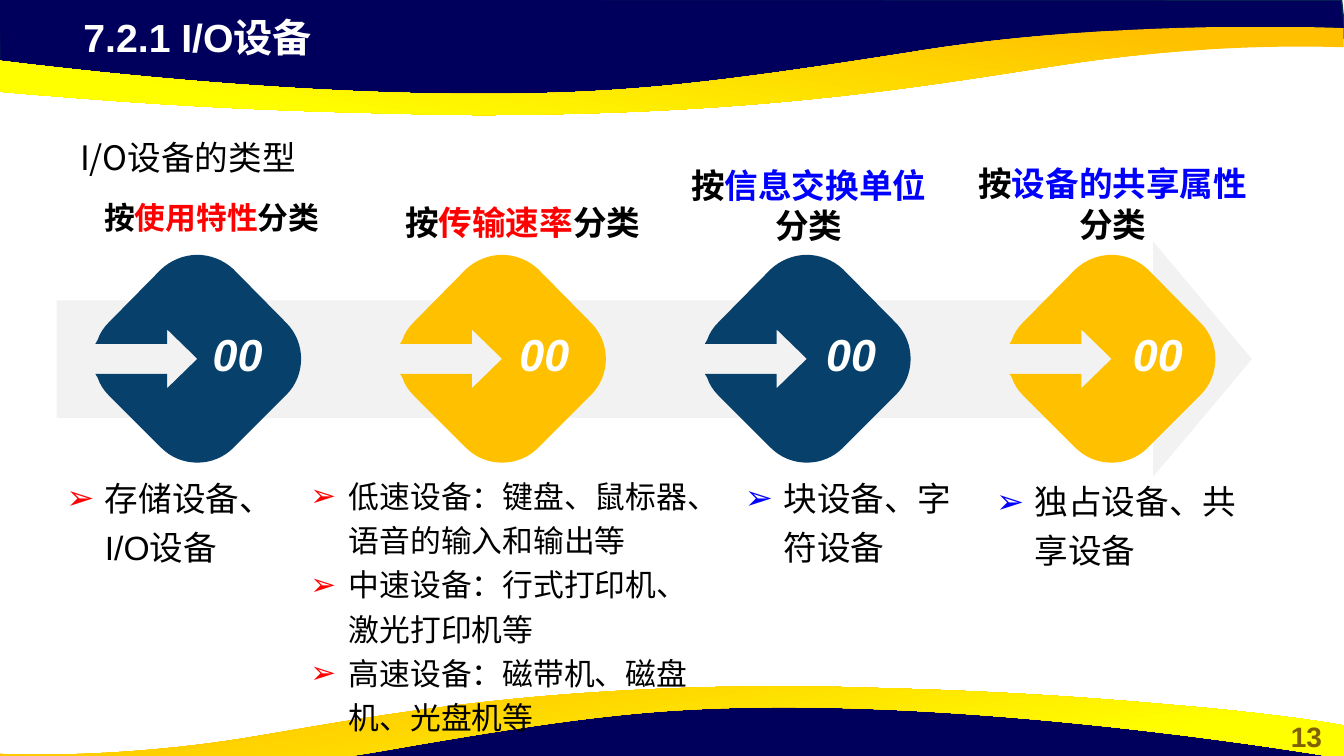
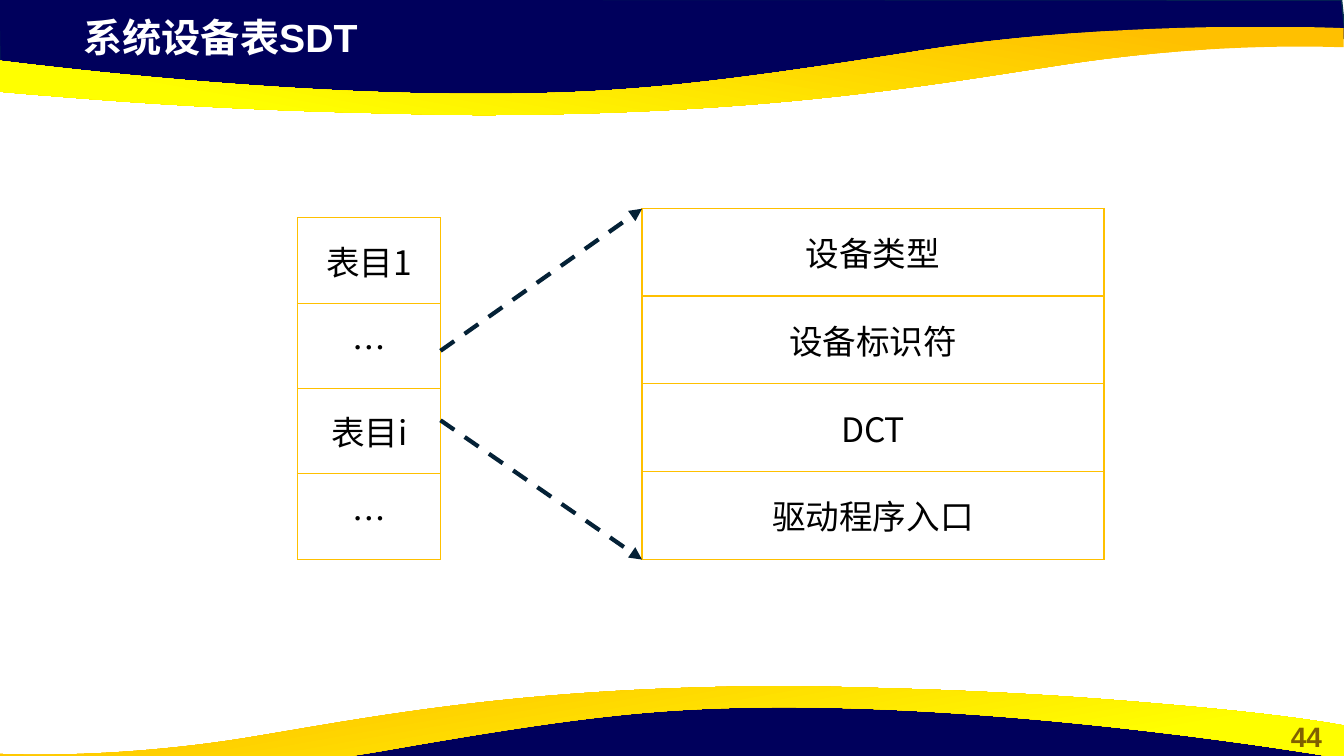
from math import sqrt

from pptx import Presentation
from pptx import util as u
from pptx.dml.color import RGBColor
from pptx.enum import dml, shapes, text
from pptx.oxml import parse_xml
from pptx.oxml.ns import nsdecls, qn

NAVY, EDGE, GOLD, YELLOW = "00005C", "05304F", "FFC000", "FFFF00"
BLUE, RED, LINK, BLACK, WHITE = "07416B", "FF0000", "0000FF", "000000", "FFFFFF"
BROWN, PALE, DARK = "806000", "F2F2F2", "042136"
LATIN, HAN = "Arial", "Noto Sans CJK SC"

HILL = [(-0.03, -0.03), (0, 1.78), (7.44, 2.59), (14.2, 2.54), (20.19, 2.24),
        (25.81, 1.27), (31.45, 0.84), (33.91, 0.97), (33.81, 0)]
WAVE = [(12.27, 2.9), (11.25, 2.9, 10.19, 2.87, 9.04, 2.84),
        (5.23, 2.74, 2.79, 2.54, 0.91, 2.39),
        (-2.24, 2.13, -3.3, 1.91, -3.38, 1.91), (-3.38, 1.07),
        (-3.38, 1.07, 5.54, 2.49, 13.13, 2.36),
        (15.9, 2.31, 17.98, 2.11, 23.24, 1.27),
        (28.35, 0.46, 33.86, 0.71, 33.86, 0.71), (33.86, 1.19), (33.78, 1.19),
        (33.15, 1.17, 30.35, 1.09, 26.8, 1.63),
        (23.32, 2.16, 19.35, 2.87, 12.27, 2.9)]
GEM = [(0, -2.62), (0.33, -2.62, 0.66, -2.49, 0.91, -2.26), (2.24, -0.91),
       (2.74, -0.41, 2.74, 0.41, 2.24, 0.91), (0.91, 2.24),
       (0.41, 2.74, -0.41, 2.74, -0.91, 2.24), (-2.24, 0.91),
       (-2.36, 0.79, -2.46, 0.64, -2.51, 0.48), (-2.57, 0.38), (-0.76, 0.38),
       (-0.76, 0.74), (0, 0), (-0.76, -0.74), (-0.76, -0.38), (-2.57, -0.38),
       (-2.51, -0.48), (-2.46, -0.64, -2.36, -0.79, -2.24, -0.91),
       (-0.91, -2.26), (-0.66, -2.49, -0.33, -2.62, 0, -2.62)]


def ink(code):
    return RGBColor.from_string(code)


def xml(tag, attrs="", inner=""):
    return parse_xml(f'<a:{tag} {nsdecls("a")} {attrs}>{inner}</a:{tag}>')


def pairs(step):
    return list(zip(step[::2], step[1::2]))


def remap(steps, rule):
    return [sum((rule(x, y) for x, y in pairs(step)), ()) for step in steps]


def write(frame, *paras, size=24, color=BLACK, font=LATIN, bold=False,
          italic=False, align="LEFT", anchor="TOP", gap=1.0, after=0,
          left=0, first=0, bullet=None):
    frame.word_wrap = True
    frame.auto_size = text.MSO_AUTO_SIZE.NONE
    frame.vertical_anchor = getattr(text.MSO_ANCHOR, anchor)
    for n, runs in enumerate(paras):
        para = frame.add_paragraph() if n else frame.paragraphs[0]
        props = para._p.get_or_add_pPr()
        props.set("marL", str(int(u.Cm(left))))
        props.set("indent", str(int(u.Cm(first))))
        if bullet:
            props.append(xml("buClr", "", f'<a:srgbClr val="{bullet}"/>'))
            props.append(xml("buFont", f'typeface="{LATIN}"'))
            props.append(xml("buChar", 'char="➢"'))
        para.alignment = getattr(text.PP_ALIGN, align)
        para.line_spacing = gap
        para.space_before, para.space_after = u.Pt(0), u.Pt(after)
        for words, tint in [(runs, color)] if isinstance(runs, str) else runs:
            run = para.add_run()
            run.text = words
            run.font.size, run.font.name = u.Pt(size), font
            run.font.bold, run.font.italic = bold, italic
            run.font.color.rgb = ink(tint)
            run._r.get_or_add_rPr().append(xml("ea", f'typeface="{HAN}"'))


class Deck:
    def __init__(self):
        self.show = Presentation()
        self.show.slide_width, self.show.slide_height = u.Cm(33.87), u.Cm(19.05)
        self.slide = None

    def start(self, layout, title, number):
        fresh = self.slide is None
        self.slide = self.show.slides.add_slide(self.show.slide_layouts[layout])
        if fresh:
            self.bands()
        self.place(self.slide.shapes.title, (1.85, 0.21, 19.51, 1.45), title,
                   size=28, color=WHITE, bold=True, anchor="MIDDLE")
        self.label((32, 18.01, 1.85, 1.12), number, size=20, color=BROWN,
                   bold=True, align="CENTER")

    def bands(self):
        master = self.show.slide_master.shapes.element
        swell = remap(WAVE, lambda x, y: ((33.84 - x) * 0.91, 20.19 - y))
        low = self.hill()
        low.rotation, low.left, low.top = 180, u.Cm(-0.08), u.Cm(17.55)
        parts = [self.hill(), self.wave(WAVE, 260), low, self.wave(swell, 280)]
        for n, band in enumerate(parts):
            band.element.nvSpPr.cNvPr.set("id", str(20 + n))
            master.append(band.element)

    def hill(self):
        band = self.outline(HILL, NAVY)
        band.line.color.rgb, band.line.width = ink(EDGE), u.Pt(1)
        return band

    def wave(self, steps, angle):
        band = self.outline(steps, GOLD)
        band.fill.gradient()
        band.fill.gradient_angle = angle
        marks = [(0.11, GOLD), (0.78, YELLOW)]
        for stop, (where, tint) in zip(band.fill.gradient_stops, marks):
            stop.position, stop.color.rgb = where, ink(tint)
        return band

    def paint(self, shape, fill):
        shape.shadow.inherit = False
        shape.fill.solid()
        shape.fill.fore_color.rgb = ink(fill)
        shape.line.fill.background()
        return shape

    def outline(self, steps, fill):
        spots = [(u.Cm(step[-2]), u.Cm(step[-1])) for step in steps]
        pen = self.slide.shapes.build_freeform(*spots[0])
        pen.add_line_segments(spots[1:], close=True)
        shape = pen.convert_to_shape()
        route = shape.element.spPr.find(".//" + qn("a:path"))
        for step, node in zip(steps[1:], route.findall(qn("a:lnTo"))):
            if len(step) == 6:
                knots = "".join(
                    f'<a:pt x="{u.Cm(x) - shape.left}" y="{u.Cm(y) - shape.top}"/>'
                    for x, y in pairs(step))
                route.replace(node, xml("cubicBezTo", "", knots))
        return self.paint(shape, fill)

    def gem(self, across, down, fill):
        half = sqrt(0.5)
        steps = remap(GEM, lambda x, y: (across + (x + y) * half,
                                         down + (y - x) * half))
        self.outline(steps, fill).rotation = 45

    def arrow(self, box, fill, *bends):
        shape = self.slide.shapes.add_shape(
            shapes.MSO_SHAPE.RIGHT_ARROW, *map(u.Cm, box))
        for n, bend in enumerate(bends):
            shape.adjustments[n] = bend
        self.paint(shape, fill)

    def place(self, shape, box, *paras, **style):
        shape.left, shape.top, shape.width, shape.height = map(u.Cm, box)
        write(shape.text_frame, *paras, **style)

    def label(self, box, *paras, **style):
        shape = self.slide.shapes.add_textbox(*map(u.Cm, box))
        write(shape.text_frame, *paras, **style)

    def bullets(self, slot, box, *items, **style):
        self.place(self.slide.placeholders[slot], box, *items,
                   left=0.97, first=-0.97, gap=1.2, **style)

    def table(self, x, y, width, row, words):
        table = self.slide.shapes.add_table(
            len(words), 1, u.Cm(x), u.Cm(y), u.Cm(width),
            u.Cm(row * len(words))).table
        table.first_row = table.horz_banding = False
        for n, word in enumerate(words):
            table.rows[n].height = u.Cm(row)
            cell = table.cell(n, 0)
            cell.fill.solid()
            cell.fill.fore_color.rgb = ink(WHITE)
            write(cell.text_frame, word, font=HAN, align="CENTER")
            cell.vertical_anchor = text.MSO_ANCHOR.MIDDLE
            props = cell._tc.get_or_add_tcPr()
            for side, tag in enumerate(("lnL", "lnR", "lnT", "lnB")):
                props.insert(side, xml(
                    tag, f'w="{int(u.Pt(1))}"',
                    f'<a:solidFill><a:srgbClr val="{GOLD}"/></a:solidFill>'))

    def dash(self, *ends):
        link = self.slide.shapes.add_connector(
            shapes.MSO_CONNECTOR.STRAIGHT, *map(u.Cm, ends))
        link.line.color.rgb, link.line.width = ink(DARK), u.Pt(3)
        link.line.dash_style = dml.MSO_LINE.DASH
        props = link.element.spPr
        props.find(qn("a:ln")).append(xml("tailEnd", 'type="triangle"'))
        props.append(xml("effectLst"))


def kinds(deck):
    deck.start(4, "7.2.1 I/O设备", "13")
    deck.arrow((1.43, 6.09, 30.12, 5.92), PALE, 0.5, 0.42)
    for n in range(4):
        deck.gem(4.98 + 7.68 * n, 9.04, GOLD if n % 2 else BLUE)
        deck.label((5.01 + 7.73 * n, 7.98, 1.96, 1.88), "00", size=32,
                   color=WHITE, bold=True, italic=True, align="CENTER",
                   anchor="MIDDLE")
    heads = [
        ("使用特性", RED, (1.6, 4.88, 7.47, 1.09), dict(size=22, align="CENTER")),
        ("传输速率", RED, (9.96, 4.86, 6.58, 1.09), dict(gap=1.1)),
        ("信息交换单位", LINK, (17, 4.03, 6.76, 1.09), dict(align="CENTER")),
        ("设备的共享属性", LINK, (24.33, 3.99, 7.42, 1.09), dict(align="CENTER"))]
    for word, tint, box, style in heads:
        deck.label(box, [("按", BLACK), (word, tint), ("分类", BLACK)],
                   bold=True, **style)
    deck.bullets(1, (1.42, 11.72, 6.32, 4.06), "存储设备、I/O设备", bullet=RED)
    deck.bullets(2, (7.57, 11.72, 10.31, 6.3),
                 "低速设备：键盘、鼠标器、语音的输入和输出等",
                 "中速设备：行式打印机、激光打印机等",
                 "高速设备：磁带机、磁盘机、光盘机等", size=22, bullet=RED)
    deck.bullets(3, (18.52, 11.72, 5.92, 4.06), "块设备、字符设备", bullet=LINK)
    deck.bullets(4, (24.85, 11.8, 7.14, 4.06), "独占设备、共享设备", bullet=LINK)
    deck.label((0.5, 3, 30.15, 1.96), "I/O设备的类型", font=HAN,
               first=1.27, gap=1.32, after=6)


def system(deck):
    deck.start(5, "系统设备表SDT", "44")
    deck.table(7.5, 5.49, 3.61, 2.15, ["表目1", "…", "表目i", "…"])
    deck.table(16.18, 5.25, 11.64, 2.21,
               ["设备类型", "设备标识符", "DCT", "驱动程序入口"])
    deck.dash(11.1, 8.84, 16.18, 5.26)
    deck.dash(11.1, 10.59, 16.18, 14.1)


def main():
    deck = Deck()
    kinds(deck)
    system(deck)
    deck.show.save("out.pptx")


if __name__ == "__main__":
    main()
